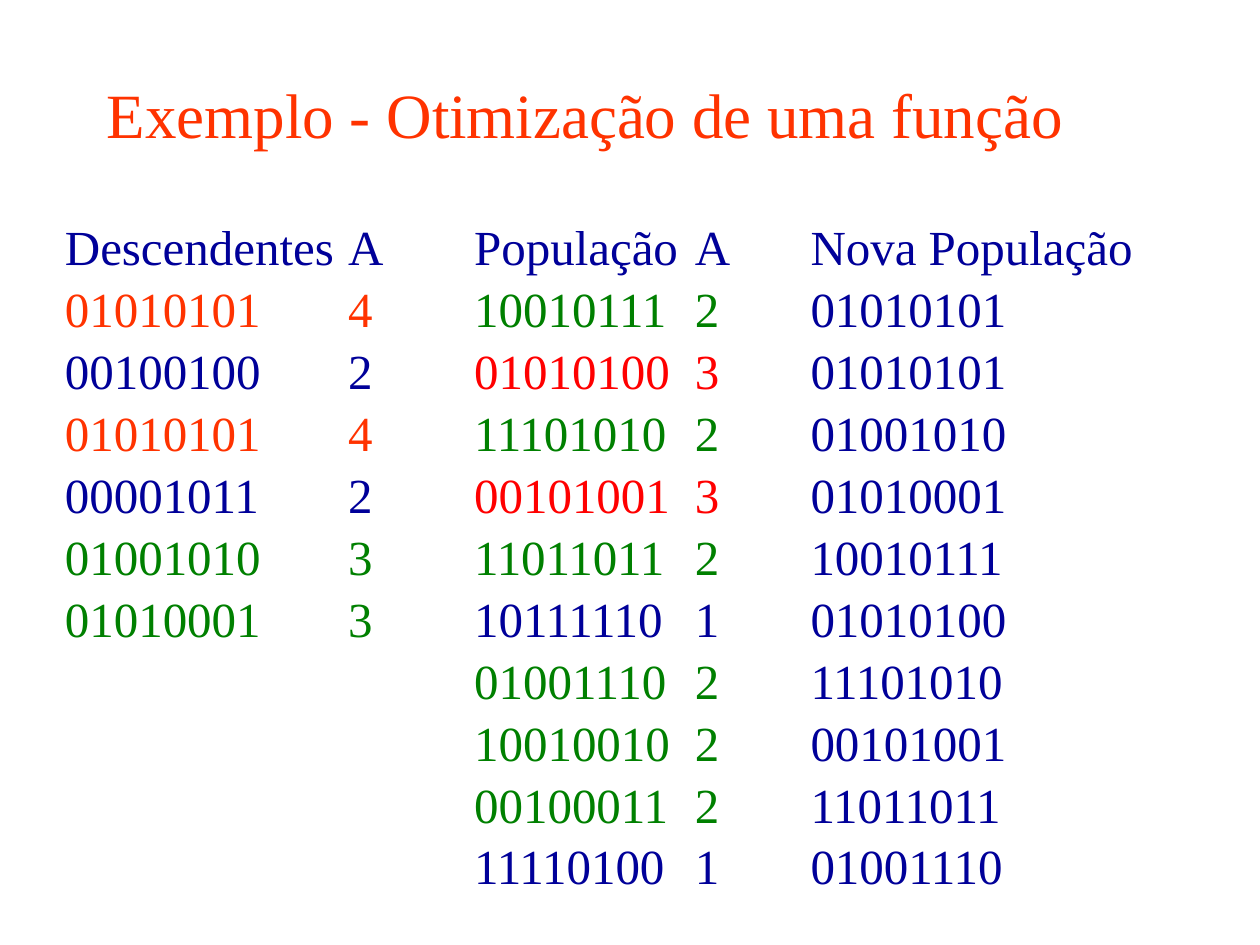
from dataclasses import dataclass

from pptx import Presentation
from pptx.dml.color import RGBColor as RGB
from pptx.enum.text import MSO_ANCHOR as Anchor, PP_ALIGN as Align
from pptx.util import Cm, Pt


@dataclass(frozen=True)
class Theme:
    font: str = "Times New Roman"
    head: int = 36
    body: int = 28
    pitch: float = 35.4
    white: str = "FFFFFF"
    blue: str = "000099"
    coral: str = "FF3300"
    red: str = "FF0000"
    green: str = "008000"


theme = Theme()


def write(para, text, size=theme.body, color=theme.blue, pitch=None):
    para.text = text
    para.alignment = Align.LEFT
    if pitch:
        para.line_spacing = Pt(pitch)
    font = para.font
    font.name, font.size = theme.font, Pt(size)
    font.color.rgb = RGB.from_string(color)


deck = Presentation()
deck.slide_width, deck.slide_height = Cm(25.4), Cm(19.05)
slide = deck.slides.add_slide(deck.slide_layouts[5])

title = slide.shapes.title
title.left, title.top, title.width, title.height = Cm(1.9), Cm(1.48), Cm(21.6), Cm(1.7)
title.text_frame.vertical_anchor = Anchor.BOTTOM
write(title.text_frame.paragraphs[0], "Exemplo - Otimização de uma função",
      size=theme.head, color=theme.coral)

# Each row: bit string, fitness, colour
young = [
    ("Descendentes", "A", theme.blue),
    ("01010101", "4", theme.coral),
    ("00100100", "2", theme.blue),
    ("01010101", "4", theme.coral),
    ("00001011", "2", theme.blue),
    ("01001010", "3", theme.green),
    ("01010001", "3", theme.green),
]
old = [
    ("População", "A", theme.blue),
    ("10010111", "2", theme.green),
    ("01010100", "3", theme.red),
    ("11101010", "2", theme.green),
    ("00101001", "3", theme.red),
    ("11011011", "2", theme.green),
    ("10111110", "1", theme.blue),
    ("01001110", "2", theme.green),
    ("10010010", "2", theme.green),
    ("00100011", "2", theme.green),
    ("11110100", "1", theme.blue),
]
# The new population takes the fittest young, then the first of the old
best = [young[i][0] for i in (1, 3, 5, 6)]
new = ["Nova População"] + best + [row[0] for row in old[1:7 + 1]]
new = new[:7] + [old[3][0], old[4][0], old[5][0], old[7][0]]

# Each column: left, width, height, (text, colour) lines
columns = [
    (1.06, 6.15, 12.5, [(bits, color) for bits, _, color in young]),
    (9.31, 4.66, 13.55, [(bits, color) for bits, _, color in old]),
    (6.77, 2.12, 9.31, [(fit, color) for _, fit, color in young]),
    (13.76, 1.69, 13.97, [(fit, color) for _, fit, color in old]),
    (16.09, 7.2, 13.97, [(bits, theme.blue) for bits in new]),
]
for left, width, height, lines in columns:
    box = slide.shapes.add_textbox(Cm(left), Cm(4.23), Cm(width), Cm(height))
    box.fill.solid()
    box.fill.fore_color.rgb = RGB.from_string(theme.white)
    frame = box.text_frame
    frame.word_wrap = True
    frame.margin_top = Cm(0.07)
    for i, (text, color) in enumerate(lines):
        para = frame.add_paragraph() if i else frame.paragraphs[0]
        write(para, text, color=color, pitch=theme.pitch)

deck.save("out.pptx")
